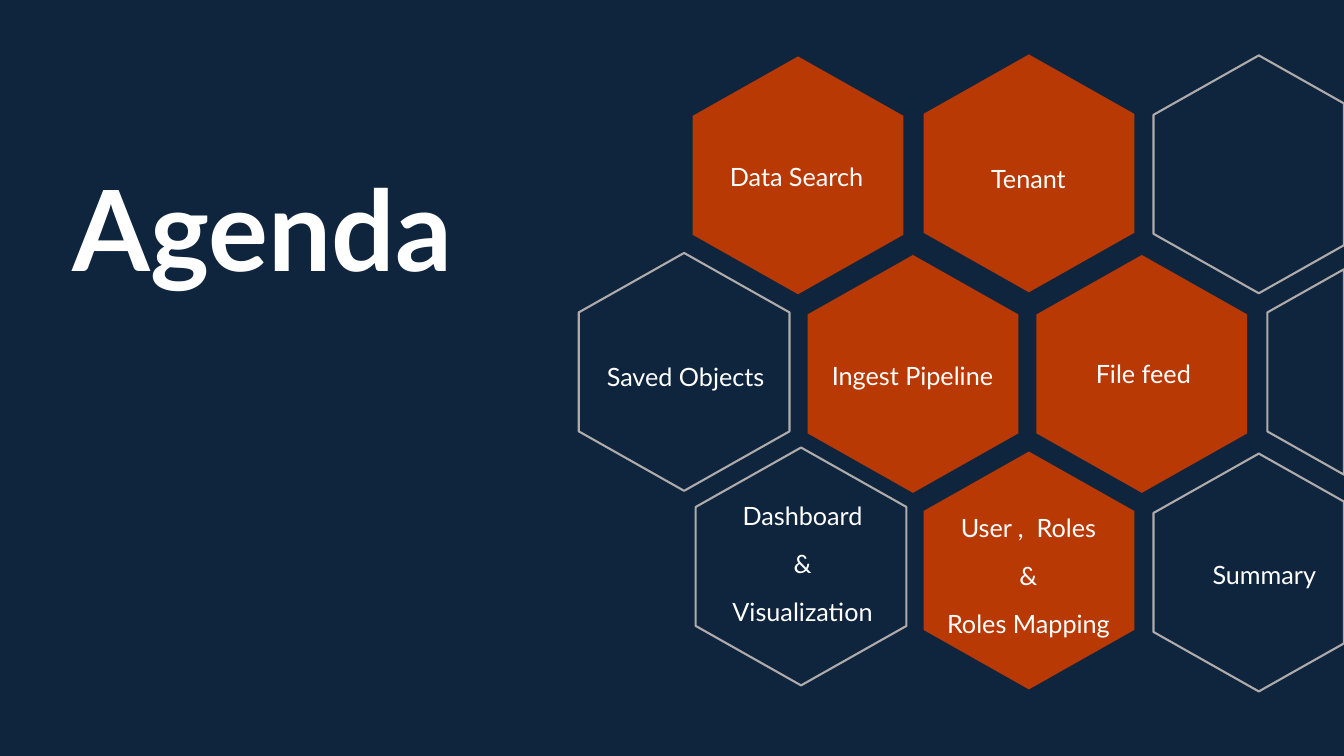
from pptx import Presentation
from pptx.dml.color import RGBColor
from pptx.enum.text import MSO_ANCHOR, MSO_AUTO_SIZE, PP_ALIGN
from pptx.util import Inches, Pt

TITLE = "Agenda"

# left, top, filled
HEXAGONS = [
    (6.87, 0.56, True), (9.16, 0.54, True), (11.44, 0.55, False),
    (5.74, 2.51, False), (8.01, 2.53, True), (10.28, 2.53, True), (12.57, 2.51, False),
    (6.90, 4.44, False), (9.16, 4.48, True), (11.44, 4.50, False),
]

# centre x, centre y, lines
TOPICS = [
    (7.90, 1.73, ["Data Search"]),
    (10.20, 1.75, ["Tenant"]),
    (6.80, 3.71, ["Saved Objects"]),
    (9.05, 3.70, ["Ingest Pipeline"]),
    (11.34, 3.69, ["File feed"]),
    (7.96, 5.57, ["Dashboard", "&", "Visualization"]),
    (10.20, 5.69, ["User ,  Roles", "&", "Roles Mapping"]),
    (12.54, 5.68, ["Summary"]),
]

THEME = {
    "navy": RGBColor.from_string("0F253E"),
    "rust": RGBColor.from_string("B83903"),
    "grey": RGBColor.from_string("AFABAB"),
    "white": RGBColor.from_string("FFFFFF"),
    "font": "Lato",
    "title_size": Pt(80),
    "topic_size": Pt(18),
    "outline": Pt(1.5),
}

SLIDE_WIDTH, SLIDE_HEIGHT = 13.33, 7.5
HEX_WIDTH, HEX_HEIGHT = 2.09, 2.36
TOPIC_HEIGHT = 1.19


def hexagon_points(left, top):
    middle, right = left + HEX_WIDTH / 2, left + HEX_WIDTH
    shoulder, hip = top + HEX_HEIGHT / 4, top + HEX_HEIGHT * 3 / 4
    return [(middle, top), (right, shoulder), (right, hip),
            (middle, top + HEX_HEIGHT), (left, hip), (left, shoulder)]


def clip_right(points, edge):
    """Cut a polygon off at the vertical line x = edge."""
    kept = []
    for (x1, y1), (x2, y2) in zip(points, points[1:] + points[:1]):
        if x1 <= edge:
            kept.append((x1, y1))
        if (x1 <= edge) != (x2 <= edge):
            kept.append((edge, y1 + (y2 - y1) * (edge - x1) / (x2 - x1)))
    return kept


def add_hexagon(slide, left, top, filled):
    points = clip_right(hexagon_points(left, top), SLIDE_WIDTH)
    corners = [(Inches(x), Inches(y)) for x, y in points]
    builder = slide.shapes.build_freeform(*corners[0])
    builder.add_line_segments(corners[1:], close=True)
    hexagon = builder.convert_to_shape()
    hexagon.shadow.inherit = False
    if filled:
        hexagon.fill.solid()
        hexagon.fill.fore_color.rgb = THEME["rust"]
        hexagon.line.fill.background()
    else:
        hexagon.fill.background()
        hexagon.line.color.rgb = THEME["grey"]
        hexagon.line.width = THEME["outline"]


def write_lines(frame, lines, size, bold, spacing):
    frame.word_wrap = True
    frame.auto_size = MSO_AUTO_SIZE.NONE
    frame.vertical_anchor = MSO_ANCHOR.MIDDLE
    font_format = {"name": THEME["font"], "size": size, "bold": bold}
    for index, line in enumerate(lines):
        para = frame.add_paragraph() if index else frame.paragraphs[0]
        for name, value in spacing.items():
            setattr(para, name, value)
        para.alignment = PP_ALIGN.CENTER
        span = para.add_run()
        span.text = line
        for name, value in font_format.items():
            setattr(span.font, name, value)
        span.font.color.rgb = THEME["white"]


def add_topic(slide, center_x, center_y, lines):
    width = min(HEX_WIDTH, 2 * (SLIDE_WIDTH - center_x))
    box = slide.shapes.add_textbox(
        Inches(center_x - width / 2), Inches(center_y - TOPIC_HEIGHT / 2),
        Inches(width), Inches(TOPIC_HEIGHT))
    write_lines(box.text_frame, lines, THEME["topic_size"], False,
                {"line_spacing": 1.13, "space_before": Pt(10)})


def add_title(slide):
    title = slide.shapes.title
    place = {"left": 0.28, "top": 1.38, "width": 4.65, "height": 1.9}
    for name, value in place.items():
        setattr(title, name, Inches(value))
    write_lines(title.text_frame, [TITLE], THEME["title_size"], True,
                {"line_spacing": 0.9})


def main():
    deck = Presentation()
    deck.slide_width, deck.slide_height = Inches(SLIDE_WIDTH), Inches(SLIDE_HEIGHT)
    page = deck.slides.add_slide(deck.slide_layouts.get_by_name("Title Only"))
    page.background.fill.solid()
    page.background.fill.fore_color.rgb = THEME["navy"]
    for hexagon in HEXAGONS:
        add_hexagon(page, *hexagon)
    for topic in TOPICS:
        add_topic(page, *topic)
    add_title(page)
    deck.save("out.pptx")


if __name__ == "__main__":
    main()
